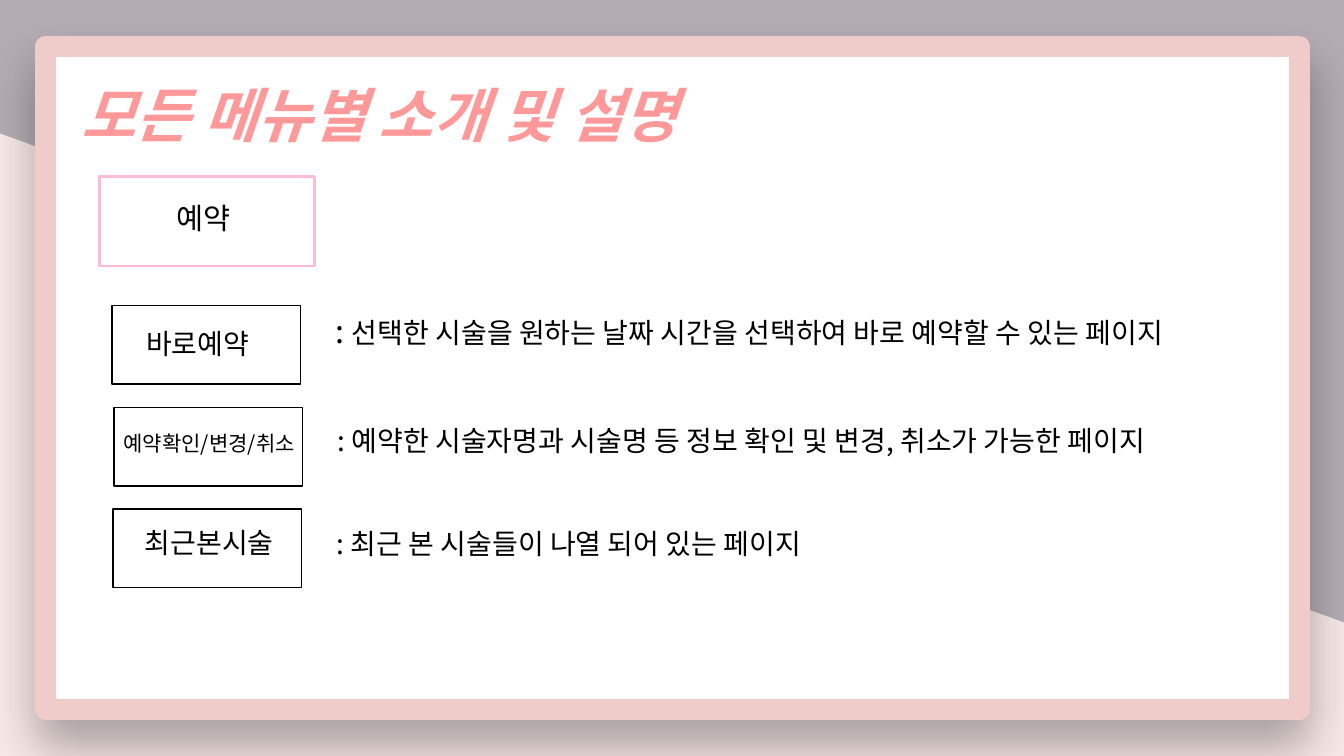
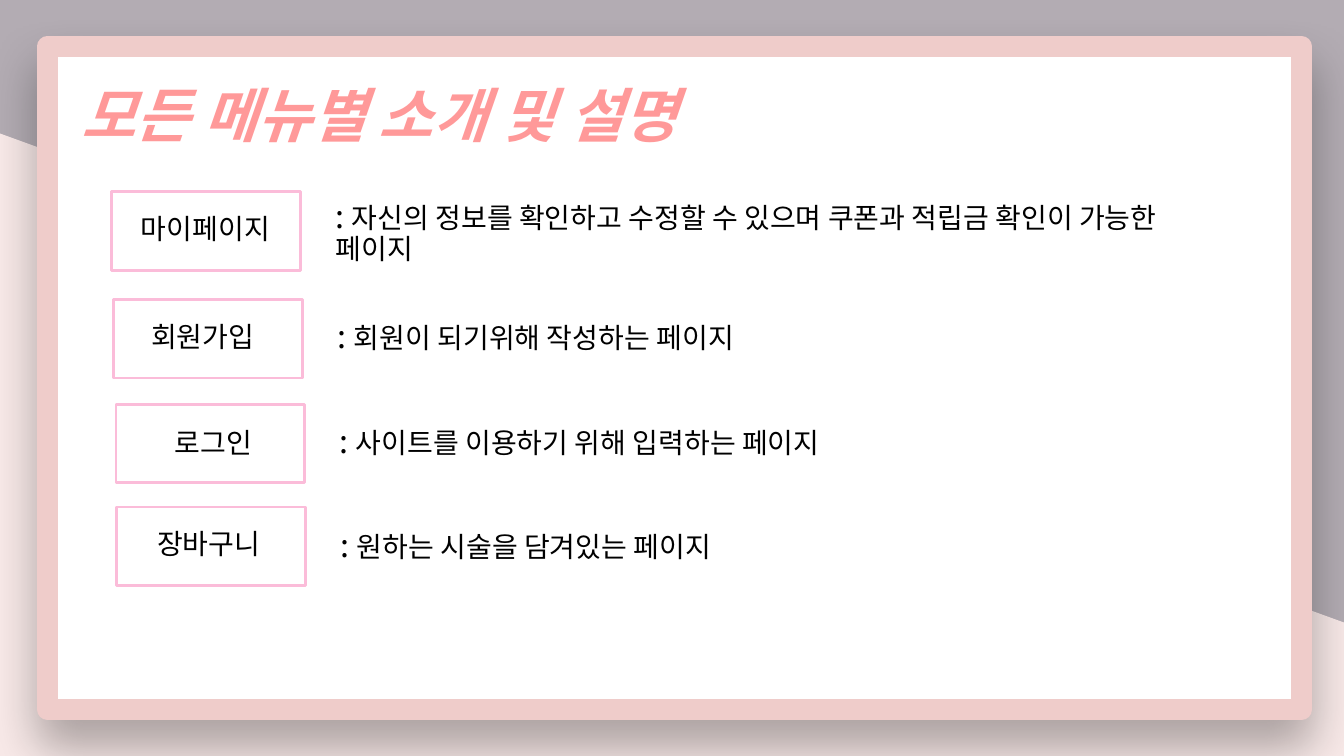
from dataclasses import dataclass

from lxml import etree
from pptx import Presentation
from pptx.dml.color import RGBColor
from pptx.enum.shapes import MSO_SHAPE
from pptx.enum.text import MSO_ANCHOR, MSO_AUTO_SIZE, PP_ALIGN
from pptx.oxml.ns import qn
from pptx.util import Inches, Pt

FONT = "Noto Sans CJK KR"
TITLE = "모든 메뉴별 소개 및 설명"
BLACK, WHITE, PINK = "000000", "FFFFFF", "FBBCD9"
CORAL, FRAME_PINK = "FF9999", "EFCCCA"
BACKGROUND = ("B3ACB3", "F8E9E8")
TITLE_ONLY = 5
LABEL_WIDTH, LABEL_HEIGHT = 2.25, 0.5
ABOUT_OFFSET, ABOUT_WIDTH = 2.12, 9.13


@dataclass(frozen=True)
class MenuItem:
    name: str
    box_left: float
    box_top: float
    label_left: float
    label_top: float
    about: str = ""
    about_top: float = 0
    about_height: float = 0.85
    colon_size: float = 23
    label_size: float = 20
    label_spacing: float = 0.9
    centered: bool = False
    box_width: float = 1.87
    box_height: float = 0.78
    outline: str = PINK
    outline_width: float = 2


@dataclass(frozen=True)
class MenuSlide:
    frame_left: float
    items: tuple[MenuItem, ...]


SUBMENU = {"outline": BLACK, "outline_width": 1, "label_spacing": 0.8}

MENU_SLIDES = (
    MenuSlide(0.45, (
        MenuItem("예약", 0.99, 1.75, 0.89, 1.98, label_size=21, centered=True,
                 box_width=2.13, box_height=0.89),
        MenuItem("바로예약", 1.11, 3.03, 1.35, 3.25,
                 "선택한 시술을 원하는 날짜 시간을 선택하여 바로 예약할 수 있는 페이지",
                 3.08, **SUBMENU),
        MenuItem("예약확인/변경/취소", 1.13, 4.04, 0.95, 4.27,
                 "예약한 시술자명과 시술명 등 정보 확인 및 변경, 취소가 가능한 페이지",
                 4.19, colon_size=20, label_size=15, centered=True, **SUBMENU),
        MenuItem("최근본시술", 1.12, 5.05, 0.95, 5.23,
                 "최근 본 시술들이 나열 되어 있는 페이지",
                 5.21, colon_size=20, centered=True, **SUBMENU),
    )),
    MenuSlide(0.47, (
        MenuItem("마이페이지", 1.11, 1.9, 1.3, 2.09,
                 "자신의 정보를 확인하고 수정할 수 있으며 쿠폰과 적립금 확인이 가능한 페이지",
                 1.94),
        MenuItem("회원가입", 1.13, 2.97, 1.4, 3.16,
                 "회원이 되기위해 작성하는 페이지", 3.13, 0.42),
        MenuItem("로그인", 1.15, 4.01, 0.99, 4.21,
                 "사이트를 이용하기 위해 입력하는 페이지", 4.17, 0.42, centered=True),
        MenuItem("장바구니", 1.16, 5.03, 1.46, 5.21,
                 "원하는 시술을 담겨있는 페이지", 5.21, 0.42),
    )),
)


def rgb(color: str) -> RGBColor:
    return RGBColor.from_string(color)


def add_run(paragraph, text: str, size: float, color: str = BLACK, **formats) -> None:
    run = paragraph.add_run()
    run.text = text
    run.font.color.rgb = rgb(color)
    for attribute, value in {"name": FONT, "size": Pt(size), **formats}.items():
        setattr(run.font, attribute, value)
    east_asian = etree.SubElement(run.font._element, qn("a:ea"))
    east_asian.set("typeface", FONT)


def add_outline(slide, left: float, top: float, width: float, height: float,
                color: str, weight: float):
    box = slide.shapes.add_shape(MSO_SHAPE.RECTANGLE, Inches(left), Inches(top),
                                 Inches(width), Inches(height))
    box.shadow.inherit = False
    box.fill.background()
    box.line.color.rgb = rgb(color)
    box.line.width = Pt(weight)
    return box


def add_text(slide, left: float, top: float, width: float, height: float,
             runs: list[tuple[str, float]], spacing: float = 0.9,
             centered: bool = False) -> None:
    frame = slide.shapes.add_textbox(Inches(left), Inches(top), Inches(width),
                                     Inches(height)).text_frame
    frame.word_wrap = True
    paragraph = frame.paragraphs[0]
    paragraph.line_spacing = spacing
    paragraph.alignment = PP_ALIGN.CENTER if centered else PP_ALIGN.LEFT
    for text, size in runs:
        add_run(paragraph, text, size)


def add_soft_shadow(shape) -> None:
    effects = shape._element.spPr.find(qn("a:effectLst"))
    shadow = etree.SubElement(effects, qn("a:outerShdw"), {
        "blurRad": str(Pt(34)), "dist": str(Pt(19)), "dir": "5400000",
        "algn": "t", "rotWithShape": "0"})
    color = etree.SubElement(shadow, qn("a:srgbClr"), val=BLACK)
    etree.SubElement(color, qn("a:alpha"), val="31000")


def set_background(master) -> None:
    """Split the background diagonally with a hard-edged gradient."""
    fill = master.background.fill
    fill.gradient()
    fill.gradient_angle = 250
    for stop, color in zip(fill.gradient_stops, BACKGROUND):
        stop.color.rgb = rgb(color)
        stop.position = 0.5


def set_title(title) -> None:
    place = {"left": 0.71, "top": 0.74, "width": 11.9, "height": 0.79}
    for attribute, value in place.items():
        setattr(title, attribute, Inches(value))
    frame = title.text_frame
    frame.auto_size = MSO_AUTO_SIZE.NONE
    frame.vertical_anchor = MSO_ANCHOR.MIDDLE
    paragraph = frame.paragraphs[0]
    paragraph.alignment = PP_ALIGN.LEFT
    add_run(paragraph, TITLE, 42, CORAL, bold=True, italic=True)


def add_item(slide, item: MenuItem) -> None:
    add_outline(slide, item.box_left, item.box_top, item.box_width, item.box_height,
                item.outline, item.outline_width)
    add_text(slide, item.label_left, item.label_top, LABEL_WIDTH, LABEL_HEIGHT,
             [(item.name, item.label_size)], item.label_spacing, item.centered)
    if item.about:
        add_text(slide, item.box_left + ABOUT_OFFSET, item.about_top, ABOUT_WIDTH,
                 item.about_height, [(": ", item.colon_size), (item.about, 20)])


def add_menu_slide(presentation, menu: MenuSlide) -> None:
    slide = presentation.slides.add_slide(presentation.slide_layouts[TITLE_ONLY])
    title = slide.shapes.title
    set_title(title)
    panel = add_outline(slide, menu.frame_left, 0.46, 12.44, 6.58, FRAME_PINK, 14.75)
    panel.fill.solid()
    panel.fill.fore_color.rgb = rgb(WHITE)
    add_soft_shadow(panel)
    title._element.addprevious(panel._element)
    for item in menu.items:
        add_item(slide, item)


def main() -> None:
    presentation = Presentation()
    presentation.slide_width = Inches(13.33)
    presentation.slide_height = Inches(7.5)
    set_background(presentation.slide_master)
    for menu in MENU_SLIDES:
        add_menu_slide(presentation, menu)
    presentation.save("out.pptx")


if __name__ == "__main__":
    main()
